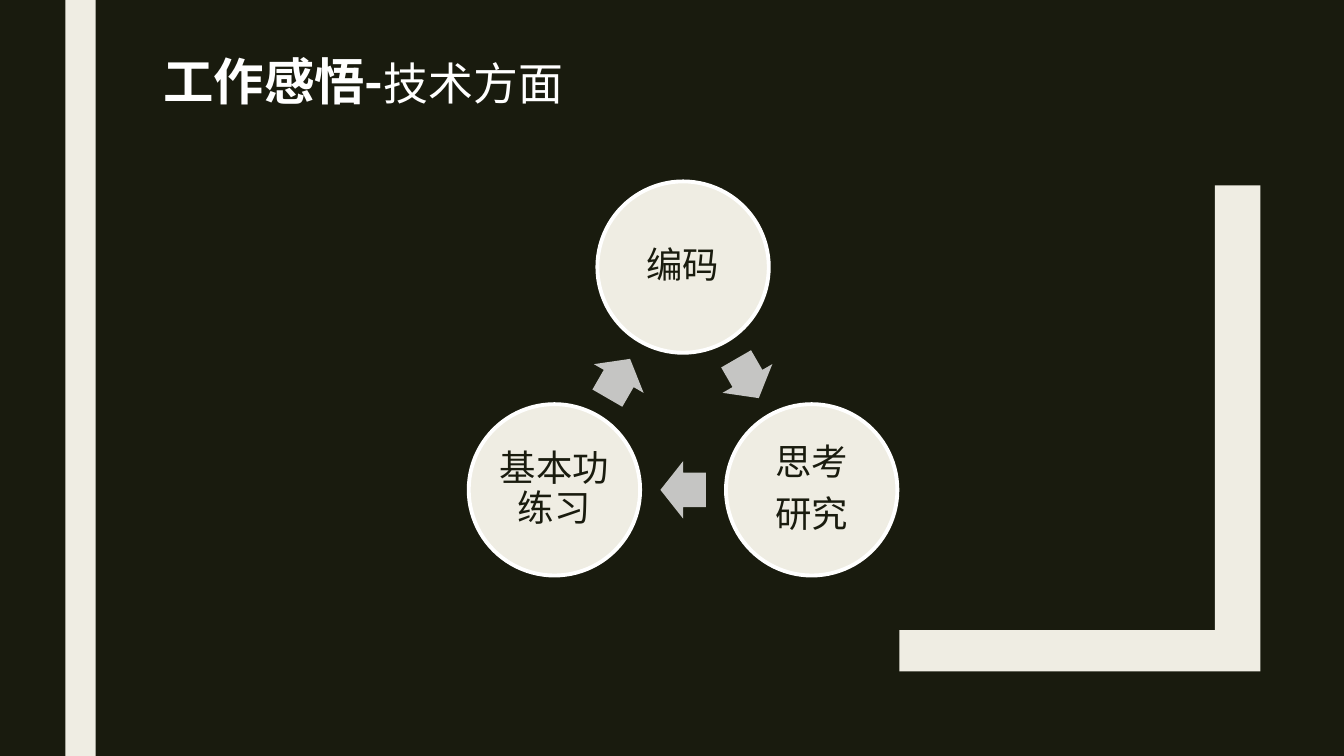
import math

import pptx
import pptx.dml.color
import pptx.enum.shapes
import pptx.enum.text
import pptx.util

Inches = pptx.util.Inches
Pt = pptx.util.Pt
MSO_SHAPE = pptx.enum.shapes.MSO_SHAPE
ANCHOR = pptx.enum.text.MSO_ANCHOR
ALIGN = pptx.enum.text.PP_ALIGN

FONT = "Noto Sans CJK JP"
DARK, CREAM, WHITE, GRAY = "191B0E", "EFEDE3", "FFFFFF", "C5C5C3"

# Paragraphs of each step, clockwise from the top
STEPS = [["编码"], ["思考", "研究"], ["基本功练习"]]


def color(value):
    return pptx.dml.color.RGBColor.from_string(value)


def set_attributes(target, values):
    for name, value in values.items():
        setattr(target, name, value)


def paint(shape, fill, line=None):
    shape.shadow.inherit = False
    shape.fill.solid()
    shape.fill.fore_color.rgb = color(fill)
    if line:
        shape.line.color.rgb = color(line)
        shape.line.width = Pt(2.75)
    else:
        shape.line.fill.background()


def add_run(paragraph, text, size, text_color, bold=False):
    run = paragraph.add_run()
    run.text = text
    set_attributes(run.font, {"name": FONT, "size": Pt(size), "bold": bold})
    run.font.color.rgb = color(text_color)


def add_centered_shape(slide, kind, center_x, center_y, width, height):
    return slide.shapes.add_shape(
        kind, Inches(center_x - width / 2), Inches(center_y - height / 2),
        Inches(width), Inches(height))


def add_corner(slide, left, top, width, height):
    """Draw the L-shaped bracket along the right and bottom of the box."""
    right, bottom = left + width, top + height
    inner_x, inner_y = right - 0.45, bottom - 0.41
    points = [(right, top), (right, bottom), (left, bottom),
              (left, inner_y), (inner_x, inner_y)]
    builder = slide.shapes.build_freeform(
        Inches(inner_x), Inches(top), scale=1.0)
    builder.add_line_segments(
        [(Inches(x), Inches(y)) for x, y in points], close=True)
    paint(builder.convert_to_shape(), CREAM)


def add_side_bar(slide, left, top, width, height):
    bar = slide.shapes.add_shape(
        MSO_SHAPE.RECTANGLE, Inches(left), Inches(top),
        Inches(width), Inches(height))
    paint(bar, CREAM)


def add_title(slide, left, top, width, height):
    title = slide.shapes.title
    set_attributes(title, {
        "left": Inches(left), "top": Inches(top),
        "width": Inches(width), "height": Inches(height)})
    set_attributes(title.text_frame, {
        "word_wrap": True, "vertical_anchor": ANCHOR.TOP})
    paragraph = title.text_frame.paragraphs[0]
    set_attributes(paragraph, {"alignment": ALIGN.LEFT, "line_spacing": 0.89})
    add_run(paragraph, "工作感悟-", 36, WHITE, bold=True)
    add_run(paragraph, "技术方面", 32, WHITE)


def add_step(slide, center_x, center_y, diameter, lines):
    circle = add_centered_shape(
        slide, MSO_SHAPE.OVAL, center_x, center_y, diameter, diameter)
    paint(circle, CREAM, WHITE)
    frame = circle.text_frame
    set_attributes(frame, {
        "word_wrap": True, "vertical_anchor": ANCHOR.MIDDLE,
        "margin_left": Inches(0.04), "margin_right": Inches(0.04),
        "margin_top": Inches(0.04), "margin_bottom": Inches(0.04)})
    for index, line in enumerate(lines):
        paragraph = frame.add_paragraph() if index else frame.paragraphs[0]
        set_attributes(paragraph, {
            "alignment": ALIGN.CENTER, "line_spacing": 0.9,
            "space_before": Pt(9 if index else 0)})
        add_run(paragraph, line, 26, DARK)


def add_cycle(slide, left, top, width, height):
    """Place the steps on a ring, with an arrow halfway to each next step."""
    diameter = 1.7
    radius = (height - diameter) / 1.5
    center_x, center_y = left + width / 2, top + diameter / 2 + radius
    turn = 360 / len(STEPS)

    def ring_point(degrees, distance):
        angle = math.radians(degrees)
        return (center_x + distance * math.sin(angle),
                center_y - distance * math.cos(angle))

    for index, lines in enumerate(STEPS):
        add_step(slide, *ring_point(index * turn, radius), diameter, lines)
        arrow_angle = (index + 0.5) * turn
        arrow = add_centered_shape(
            slide, MSO_SHAPE.RIGHT_ARROW,
            *ring_point(arrow_angle, radius / 2), 0.45, 0.57)
        arrow.rotation = arrow_angle
        arrow.adjustments[0] = 0.6
        arrow.adjustments[1] = 0.5
        paint(arrow, GRAY)


def main():
    presentation = pptx.Presentation()
    presentation.slide_width = Inches(13.33)
    presentation.slide_height = Inches(7.5)
    slide = presentation.slides.add_slide(presentation.slide_layouts[5])
    slide.background.fill.solid()
    slide.background.fill.fore_color.rgb = color(DARK)
    add_corner(slide, 8.92, 1.84, 3.58, 4.82)
    add_side_bar(slide, 0.65, 0, 0.3, 7.5)
    add_title(slide, 1.52, 0.52, 10.5, 1.62)
    add_cycle(slide, 4.65, 1.8, 4.25, 3.91)
    presentation.save("out.pptx")


if __name__ == "__main__":
    main()
